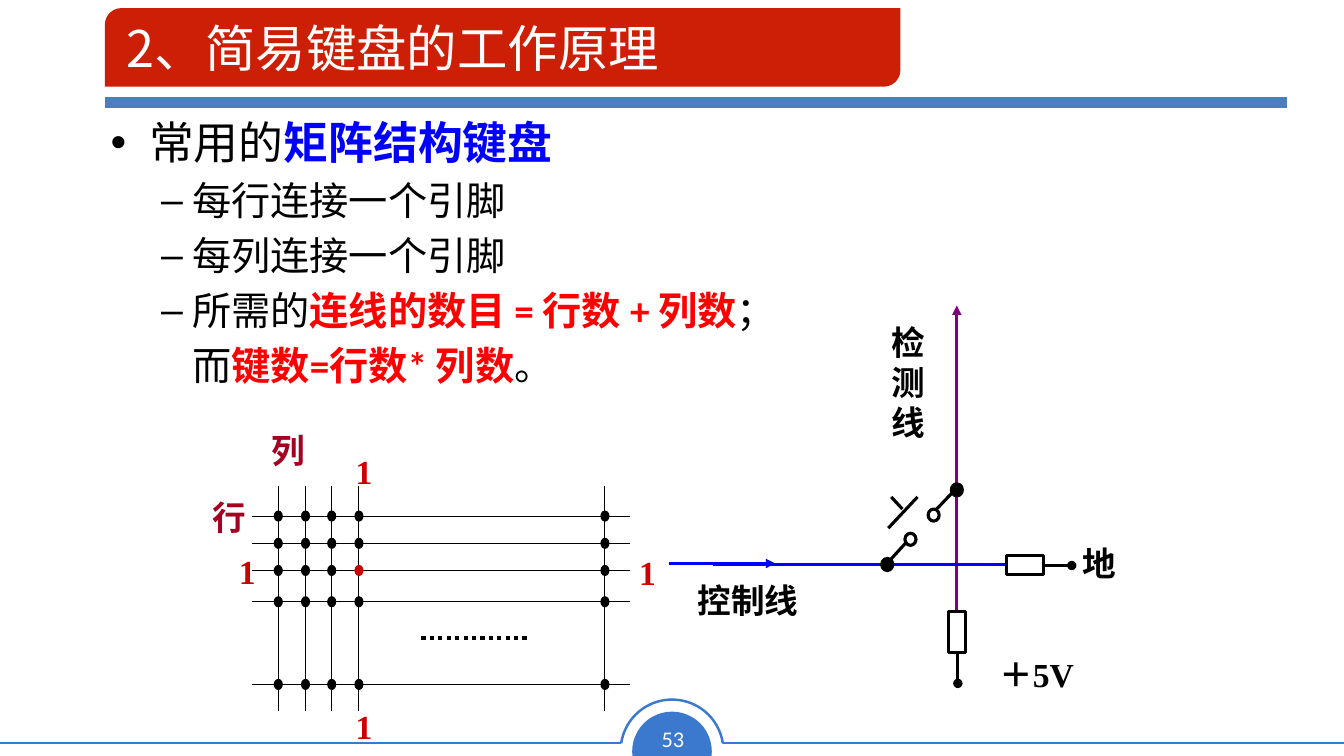
import itertools

import lxml.etree
import pptx
import pptx.dml.color
import pptx.enum.dml
import pptx.enum.shapes
import pptx.enum.text
import pptx.oxml.ns
import pptx.util

Inches = pptx.util.Inches
RGBColor = pptx.dml.color.RGBColor
SHAPES = pptx.enum.shapes.MSO_SHAPE
ANCHOR = pptx.enum.text.MSO_ANCHOR
ALIGN = pptx.enum.text.PP_ALIGN

WHITE = RGBColor(0xFF, 0xFF, 0xFF)
BLACK = RGBColor(0, 0, 0)
BANNER_RED = RGBColor(0xCD, 0x1F, 0x06)
RULE_BLUE = RGBColor(0x4B, 0x7E, 0xBC)
FOOTER_BLUE = RGBColor(0x3B, 0x79, 0xCE)
BLUE = RGBColor(0, 0, 0xFF)
RED = RGBColor(0xFF, 0, 0)
PURPLE = RGBColor(0x80, 0, 0x80)
LABEL_RED = RGBColor(0xA5, 0, 0x21)
KEY_RED = RGBColor(0xCC, 0, 0)

SERIF = "Times New Roman"
SANS = "Calibri"
CHINESE = "Noto Sans CJK SC"


def add_element(parent, tag, **attributes):
    return lxml.etree.SubElement(parent, pptx.oxml.ns.qn(tag), **attributes)


def add_line(page, start, end, color, width, head=None, tail=None, dash=None):
    ends = [Inches(value) for value in (*start, *end)]
    line = page.shapes.add_connector(pptx.enum.shapes.MSO_CONNECTOR.STRAIGHT, *ends)
    line.line.color.rgb = color
    line.line.width = pptx.util.Pt(width)
    if dash:
        line.line.dash_style = dash
    outline = line.line._get_or_add_ln()
    if head:
        add_element(outline, "a:headEnd", type=head)
    if tail:
        add_element(outline, "a:tailEnd", type=tail)
    add_element(line._element.spPr, "a:effectLst")


def add_shape(page, kind, box, fill=None, line=None, width=1.0, adjustments=()):
    shape = page.shapes.add_shape(kind, *[Inches(value) for value in box])
    shape.shadow.inherit = False
    for index, value in enumerate(adjustments):
        shape.adjustments[index] = value
    if fill is None:
        shape.fill.background()
    else:
        shape.fill.solid()
        shape.fill.fore_color.rgb = fill
    if line is None:
        shape.line.fill.background()
    else:
        shape.line.color.rgb = line
        shape.line.width = pptx.util.Pt(width)
    return shape


def add_dot(page, center, size, fill, line, width):
    x, y = center
    w, h = size
    add_shape(page, SHAPES.OVAL, (x - w / 2, y - h / 2, w, h), fill, line, width)


def add_frame(page, box, wrap=True, inset=None):
    frame = page.shapes.add_textbox(*[Inches(value) for value in box]).text_frame
    frame.word_wrap = wrap
    if inset is not None:
        frame.margin_left = frame.margin_right = Inches(inset)
        frame.margin_top = frame.margin_bottom = Inches(inset)
    return frame


def add_span(para, text, size, color, font, bold=False):
    span = para.add_run()
    span.text = text
    span.font.size = pptx.util.Pt(size)
    span.font.color.rgb = color
    span.font.name = font
    span.font.bold = bold
    add_element(span.font._element, "a:ea", typeface=CHINESE)


def add_label(page, box, lines, color, wrap=True, inset=None):
    frame = add_frame(page, box, wrap, inset)
    for index, text in enumerate(lines):
        para = frame.add_paragraph() if index else frame.paragraphs[0]
        add_span(para, text, 24, color, SERIF, True)


def draw_footer(page, box):
    left, top, width, height = box
    center = left + width / 2
    add_shape(page, SHAPES.CHORD, (center - 0.395, top + 0.12, 0.79, 0.79),
              FOOTER_BLUE, adjustments=(35.77, 153.29)).rotation = 112.4
    for start, end in ((left, center - 0.51), (center + 0.51, left + width)):
        add_line(page, (start, top + 0.43), (end, top + 0.43), FOOTER_BLUE, 1.77)
    add_shape(page, SHAPES.ARC, (center - 0.51, top, 1.02, 1.02), None,
              FOOTER_BLUE, 1.77, (113.17, 210.98))
    para = add_frame(page, (center - 0.22, top + 0.2, 0.46, 0.37), False).paragraphs[0]
    para.alignment = ALIGN.CENTER
    add_span(para, "53", 16, WHITE, SANS)


def draw_title(page, box):
    left, top, width, height = box
    add_line(page, (left, top + 0.94), (left + width, top + 0.94), RULE_BLUE, 8)
    add_shape(page, SHAPES.ROUND_2_DIAG_RECTANGLE, (left, top, 7.89, height),
              BANNER_RED, adjustments=(0.21, 0))
    frame = add_frame(page, (left + 0.12, top + 0.02, width - 0.35, 0.74))
    frame.vertical_anchor = ANCHOR.MIDDLE
    add_span(frame.paragraphs[0], "2、简易键盘的工作原理", 36, WHITE, CHINESE)


def draw_points(page, box):
    points = [
        ("•", 32, SERIF, [("常用的", BLACK), ("矩阵结构键盘", BLUE)]),
        ("–", 28, SERIF, [("每行连接一个引脚", BLACK)]),
        ("–", 28, SERIF, [("每列连接一个引脚", BLACK)]),
        ("–", 28, SANS, [("所需的", BLACK), ("连线的数目 = 行数 + 列数", RED), ("；", BLACK)]),
        (None, 28, SANS, [("\t而", BLACK), ("键数=行数* 列数", RED), ("。", BLACK)]),
    ]
    frame = add_frame(page, box)
    for index, (bullet, size, font, spans) in enumerate(points):
        para = frame.add_paragraph() if index else frame.paragraphs[0]
        margin, indent = (0.81, -0.31) if index else (0.38, -0.38)
        properties = para._p.get_or_add_pPr()
        properties.set("marL", str(Inches(margin)))
        properties.set("indent", str(Inches(indent)))
        if index:
            para.space_before = pptx.util.Pt(size * 0.2)
        if bullet:
            add_element(properties, "a:buFont", typeface="Arial")
            add_element(properties, "a:buChar", char=bullet)
        else:
            add_element(properties, "a:buNone")
        for text, color in spans:
            add_span(para, text, size, color, font, color != BLACK)


def draw_key_matrix(page, box):
    left, top, width, height = box
    columns = [left + offset for offset in (0.75, 1.02, 1.28, 1.55, 3.99)]
    rows = [top + offset for offset in (0.9, 1.17, 1.44, 1.75, 2.57)]
    for y in rows:
        add_line(page, (left + 0.49, y), (left + 4.24, y), BLACK, 0.75)
    for x in columns:
        add_line(page, (x, top + 0.6), (x, top + 2.83), BLACK, 0.75)
    add_line(page, (left + 2.17, top + 2.11), (left + 3.25, top + 2.11), BLACK, 3,
             dash=pptx.enum.dml.MSO_LINE.ROUND_DOT)
    for x, y in itertools.product(columns, rows):
        color = KEY_RED if (x, y) == (columns[3], rows[2]) else BLACK
        add_dot(page, (x, y), (0.08, 0.1), color, color, 0.75)
    for text, x, y, color in (("行", 0, 0.66, LABEL_RED), ("列", 0.58, 0, LABEL_RED),
                              ("1", 1.42, 0.2, KEY_RED), ("1", 4.23, 1.21, KEY_RED),
                              ("1", 0.26, 1.2, KEY_RED), ("1", 1.42, 2.73, KEY_RED)):
        label_width = 0.37 if text == "1" else 0.54
        add_label(page, (left + x, top + y, label_width, 0.5), [text], color, False)


def draw_key_circuit(page, box):
    left, top, width, height = box

    def at(x, y):
        return left + x, top + y

    def wire(start, end, color=BLACK, **ends):
        add_line(page, at(*start), at(*end), color, 2.25, **ends)

    wire((2.85, 0), (2.85, 3.03), PURPLE, head="triangle")
    wire((0.43, 2.57), (3.33, 2.57), BLUE)
    wire((0, 2.56), (1.05, 2.56), BLUE, tail="triangle")
    for start, end in (((2.17, 2.21), (2.46, 1.9)), ((2.31, 2.02), (2.2, 1.9)),
                       ((2.65, 2.02), (2.86, 1.8)), ((2.14, 2.58), (2.34, 2.36))):
        wire(start, end)
    for center, fill in (((2.85, 1.83), BLACK), ((2.16, 2.57), BLACK),
                         ((2.62, 2.08), WHITE), ((2.39, 2.32), WHITE)):
        add_dot(page, at(*center), (0.11, 0.12), fill, BLACK, 2.25)
    for x, y, w, h in ((2.77, 3.04, 0.17, 0.4), (3.34, 2.48, 0.37, 0.19)):
        add_shape(page, SHAPES.RECTANGLE, (*at(x, y), w, h), WHITE, BLACK, 2.25)
    wire((2.86, 3.75), (2.86, 3.44), head="oval")
    wire((3.99, 2.58), (3.71, 2.58), head="oval")
    for lines, x, y, w, h in ((["＋5V"], 3.26, 3.45, 0.92, 0.56), (["地"], 4.09, 2.35, 0.92, 0.56),
                              (["控制线"], 0.27, 2.71, 1.4, 0.56),
                              (["检", "测", "线"], 2.19, 0.15, 0.5, 1.37)):
        add_label(page, (*at(x, y), w, h), lines, BLACK, inset=0.01)


def main():
    deck = pptx.Presentation()
    deck.slide_width, deck.slide_height = Inches(13.33), Inches(7.5)
    page = deck.slides.add_slide(deck.slide_layouts[6])
    page.background.fill.solid()
    page.background.fill.fore_color.rgb = WHITE
    draw_footer(page, (0, 6.94, 13.33, 0.56))
    draw_title(page, (1.04, 0.08, 11.72, 0.78))
    draw_points(page, (1, 1.09, 11.73, 5.04))
    draw_key_circuit(page, (6.64, 3.03, 5.01, 4.01))
    draw_key_matrix(page, (2.01, 4.22, 4.6, 3.23))
    deck.save("out.pptx")


if __name__ == "__main__":
    main()
